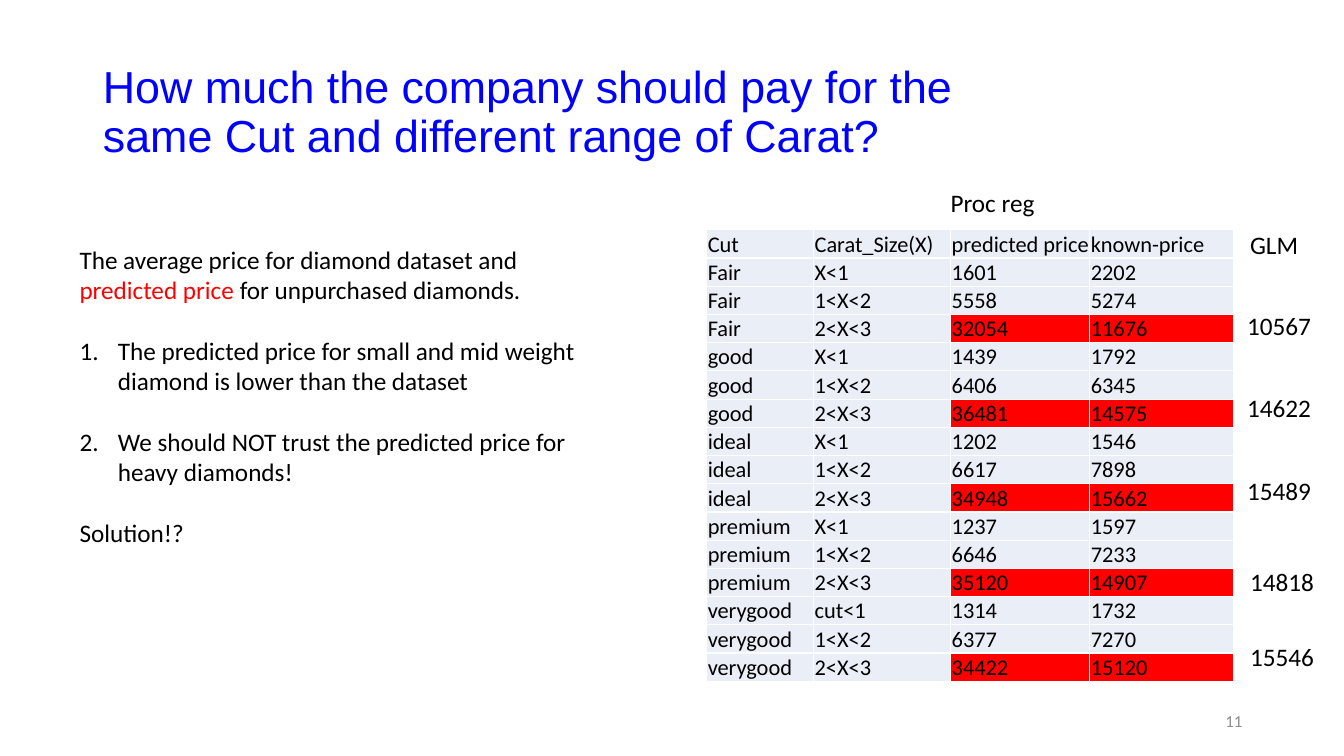
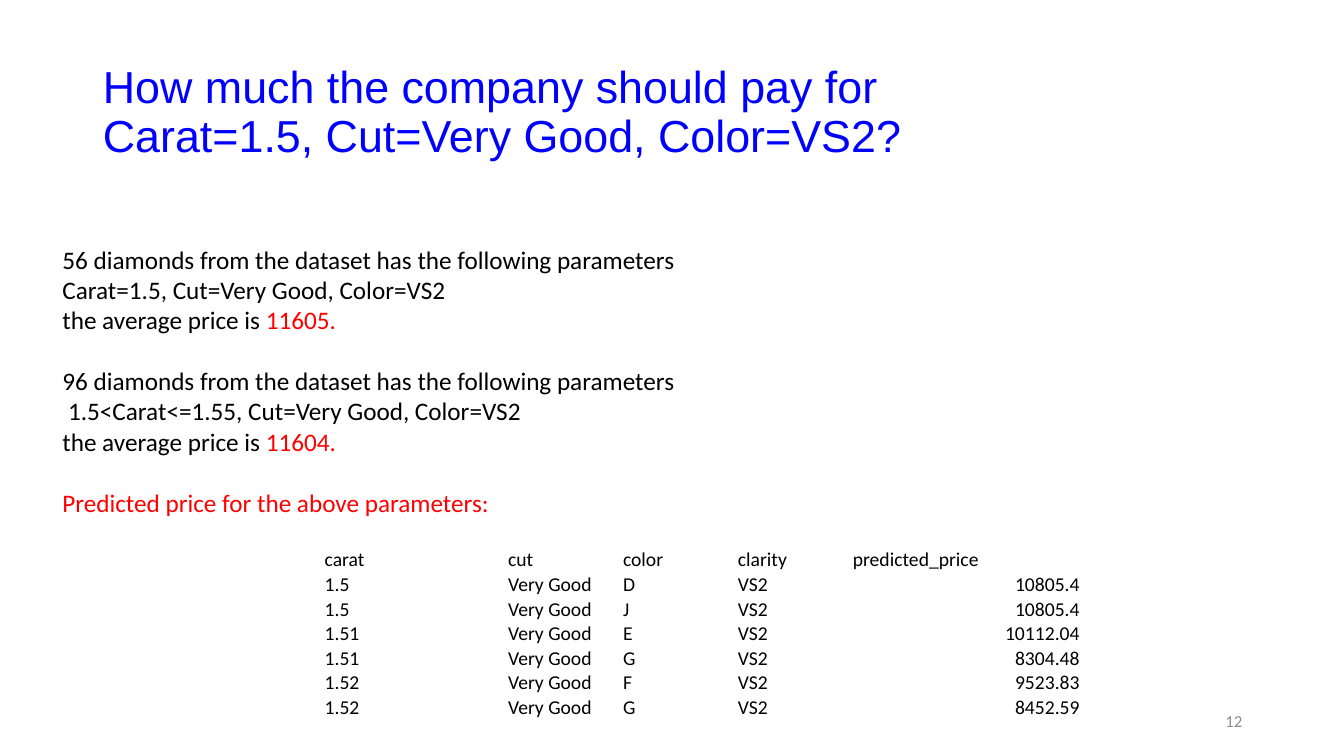
from lxml import etree
from pptx import Presentation
from pptx.dml.color import RGBColor
from pptx.enum import text
from pptx.oxml import ns
from pptx.util import Inches, Pt

BLUE = RGBColor(0x00, 0x00, 0xFF)
RED = RGBColor(0xFF, 0x00, 0x00)
BLACK = RGBColor(0x00, 0x00, 0x00)
GRAY = RGBColor(0x8C, 0x8C, 0x8C)
PALE = RGBColor(0xEA, 0xEF, 0xF7)
TITLE_FONT, BODY_FONT = "Arial", "Calibri"
LEFT, RIGHT = text.PP_ALIGN.LEFT, text.PP_ALIGN.RIGHT
MIDDLE, BOTTOM = text.MSO_ANCHOR.MIDDLE, text.MSO_ANCHOR.BOTTOM
LINE_GAP = Pt(22)

PRICES = [
    ("Fair", "X<1", 1601, 2202), ("Fair", "1<X<2", 5558, 5274), ("Fair", "2<X<3", 32054, 11676),
    ("good", "X<1", 1439, 1792), ("good", "1<X<2", 6406, 6345), ("good", "2<X<3", 36481, 14575),
    ("ideal", "X<1", 1202, 1546), ("ideal", "1<X<2", 6617, 7898), ("ideal", "2<X<3", 34948, 15662),
    ("premium", "X<1", 1237, 1597), ("premium", "1<X<2", 6646, 7233),
    ("premium", "2<X<3", 35120, 14907),
    ("verygood", "cut<1", 1314, 1732), ("verygood", "1<X<2", 6377, 7270),
    ("verygood", "2<X<3", 34422, 15120),
]
GLM_LABELS = [
    ("GLM", 12.3, 2.23), ("10567", 12.27, 3.03), ("14622", 12.27, 3.84),
    ("15489", 12.27, 4.67), ("14818", 12.3, 5.57), ("15546", 12.3, 6.31),
]
PREDICTIONS = [
    ("1.5", "D", "10805.4"), ("1.5", "J", "10805.4"), ("1.51", "E", "10112.04"),
    ("1.51", "G", "8304.48"), ("1.52", "F", "9523.83"), ("1.52", "G", "8452.59"),
]


def style_runs(p, size, color, font=BODY_FONT):
    """Give every run of a paragraph the same font."""
    for r in p.runs:
        r.font.name, r.font.size, r.font.color.rgb = font, Pt(size), color


def number_paragraph(p):
    """Turn a paragraph into a numbered item with a hanging indent."""
    pPr = p._p.get_or_add_pPr()
    pPr.set("marL", str(Inches(0.38)))
    pPr.set("indent", str(-Inches(0.38)))
    etree.SubElement(pPr, ns.qn("a:buAutoNum"), type="arabicPeriod")


def add_text(s, paragraphs, x, y, w, h):
    """Add a text box of (runs, gap before, numbered) paragraphs."""
    tf = s.shapes.add_textbox(Inches(x), Inches(y), Inches(w), Inches(h)).text_frame
    tf.word_wrap = True
    for i, (runs, gap, numbered) in enumerate(paragraphs):
        p = tf.add_paragraph() if i else tf.paragraphs[0]
        if numbered:
            number_paragraph(p)
        if gap:
            p.space_before = LINE_GAP
        for words, color in runs:
            p.add_run().text = words
        style_runs(p, 18, BLACK)
        for r, (words, color) in zip(p.runs, runs):
            r.font.color.rgb = color
    return tf


def add_label(s, words, x, y, w):
    """Add a one-line label."""
    add_text(s, [([(words, BLACK)], False, False)], x, y, w, 0.4)


def add_table(s, rows, x, y, widths, row_height, size):
    """Add a plain table and return it."""
    frame = s.shapes.add_table(len(rows), len(widths), Inches(x), Inches(y),
                               Inches(sum(widths)), Inches(row_height * len(rows)))
    table = frame.table
    table.first_row = table.horz_banding = False
    for column, width in zip(table.columns, widths):
        column.width = Inches(width)
    for i, row in enumerate(rows):
        table.rows[i].height = Inches(row_height)
        for j, value in enumerate(row):
            cell = table.cell(i, j)
            cell.margin_left = cell.margin_right = cell.margin_top = Inches(0.01)
            cell.margin_bottom = 0
            cell.vertical_anchor = BOTTOM
            cell.fill.background()
            p = cell.text_frame.paragraphs[0]
            p.text = str(value)
            style_runs(p, size, BLACK)
    return table


def add_slide(prs, title, title_width, number):
    """Add a slide with its title and page number."""
    s = prs.slides.add_slide(prs.slide_layouts[5])
    sp = s.shapes.title
    sp.left, sp.top = Inches(0.92), Inches(0.4)
    sp.width, sp.height = Inches(title_width), Inches(1.45)
    tf = sp.text_frame
    tf.text = title
    tf.word_wrap = True
    tf.auto_size = text.MSO_AUTO_SIZE.NONE
    tf.vertical_anchor = MIDDLE
    p = tf.paragraphs[0]
    p.alignment, p.line_spacing = LEFT, 0.9
    style_runs(p, 32, BLUE, TITLE_FONT)

    tf = add_text(s, [([(str(number), GRAY)], False, False)], 9.42, 6.95, 3, 0.4)
    tf.vertical_anchor = MIDDLE
    tf.paragraphs[0].alignment = RIGHT
    style_runs(tf.paragraphs[0], 12, GRAY)
    return s


def add_price_table(s, x, y):
    """Add the price comparison with heavy diamonds marked red."""
    header = ("Cut", "Carat_Size(X)", "predicted price", "known-price")
    table = add_table(s, [header] + PRICES, x, y, (1.06, 1.36, 1.38, 1.43), 0.28, 16)
    for i, row in enumerate(table.rows):
        for j, cell in enumerate(row.cells):
            heavy = i > 0 and i % 3 == 0 and j >= 2
            cell.fill.solid()
            cell.fill.fore_color.rgb = RED if heavy else PALE


def add_prediction_table(s, x, y):
    """Add the predicted prices with the last column right-aligned."""
    rows = [("carat", "cut", "color", "clarity", "predicted_price")]
    rows += [(carat, "Very Good", color, "VS2", price) for carat, color, price in PREDICTIONS]
    table = add_table(s, rows, x, y, (1.82, 1.14, 1.14, 1.14, 2.27), 0.24, 14)
    for i in range(1, len(rows)):
        table.cell(i, 4).text_frame.paragraphs[0].alignment = RIGHT


def carat_range_slide(prs):
    """Build the slide on one cut and several carat ranges."""
    s = add_slide(prs, "How much the company should pay for the same Cut "
                  "and different range of Carat?", 9.7, 11)
    add_price_table(s, 7.01, 2.28)
    add_text(s, [
        ([("The average price for diamond dataset and ", BLACK), ("predicted price ", RED),
          ("for unpurchased diamonds.", BLACK)], False, False),
        ([("The predicted price for small and mid weight diamond is lower than the dataset",
           BLACK)], True, True),
        ([("We should NOT trust the predicted price for heavy diamonds!", BLACK)], True, True),
        ([("Solution!?", BLACK)], True, False),
    ], 0.69, 2.37, 5.51, 4.34)
    for words, x, y in GLM_LABELS:
        add_label(s, words, x, y, 1.03)
    add_label(s, "Proc reg", 9.33, 1.81, 1.97)


def fixed_parameters_slide(prs):
    """Build the slide on one set of diamond parameters."""
    s = add_slide(prs, "How much the company should pay for\v"
                  "Carat=1.5, Cut=Very Good, Color=VS2?", 11.5, 12)
    add_prediction_table(s, 3.21, 5.43)
    paragraphs = []
    for count, carat, price in (("56", "Carat=1.5", "11605."),
                                ("96", " 1.5<Carat<=1.55", "11604.")):
        paragraphs += [
            ([(f"{count} diamonds from the dataset has the following parameters", BLACK)],
             bool(paragraphs), False),
            ([(f"{carat}, Cut=Very Good, Color=VS2", BLACK)], False, False),
            ([("the average price is ", BLACK), (price, RED)], False, False),
        ]
    paragraphs.append(([("Predicted price for the above parameters:", RED)], True, False))
    add_text(s, paragraphs, 0.52, 2.37, 12.28, 3.43)


def main():
    """Build and save the presentation."""
    prs = Presentation()
    prs.slide_width, prs.slide_height = Inches(13.33), Inches(7.5)
    carat_range_slide(prs)
    fixed_parameters_slide(prs)
    prs.save("out.pptx")


if __name__ == "__main__":
    main()
